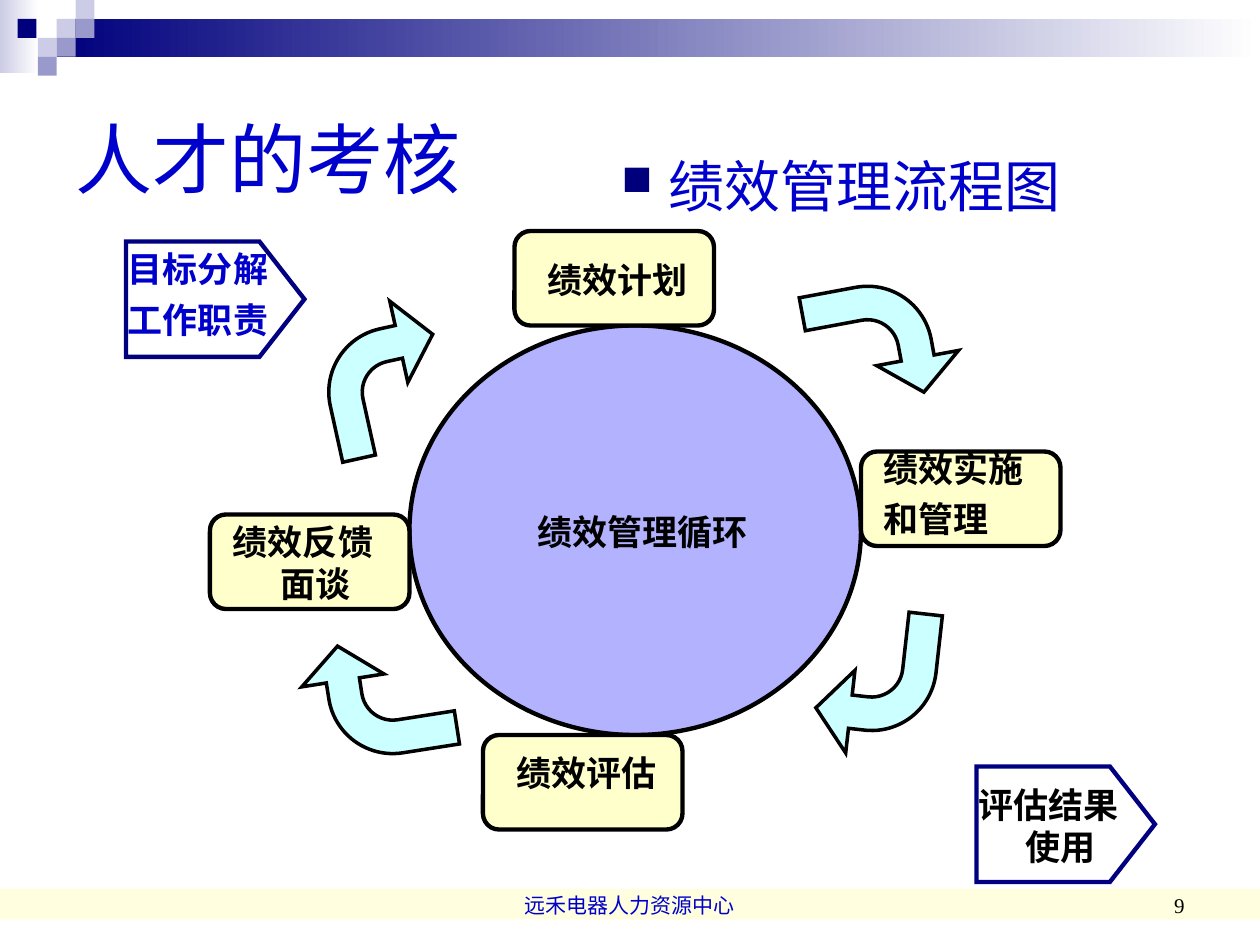
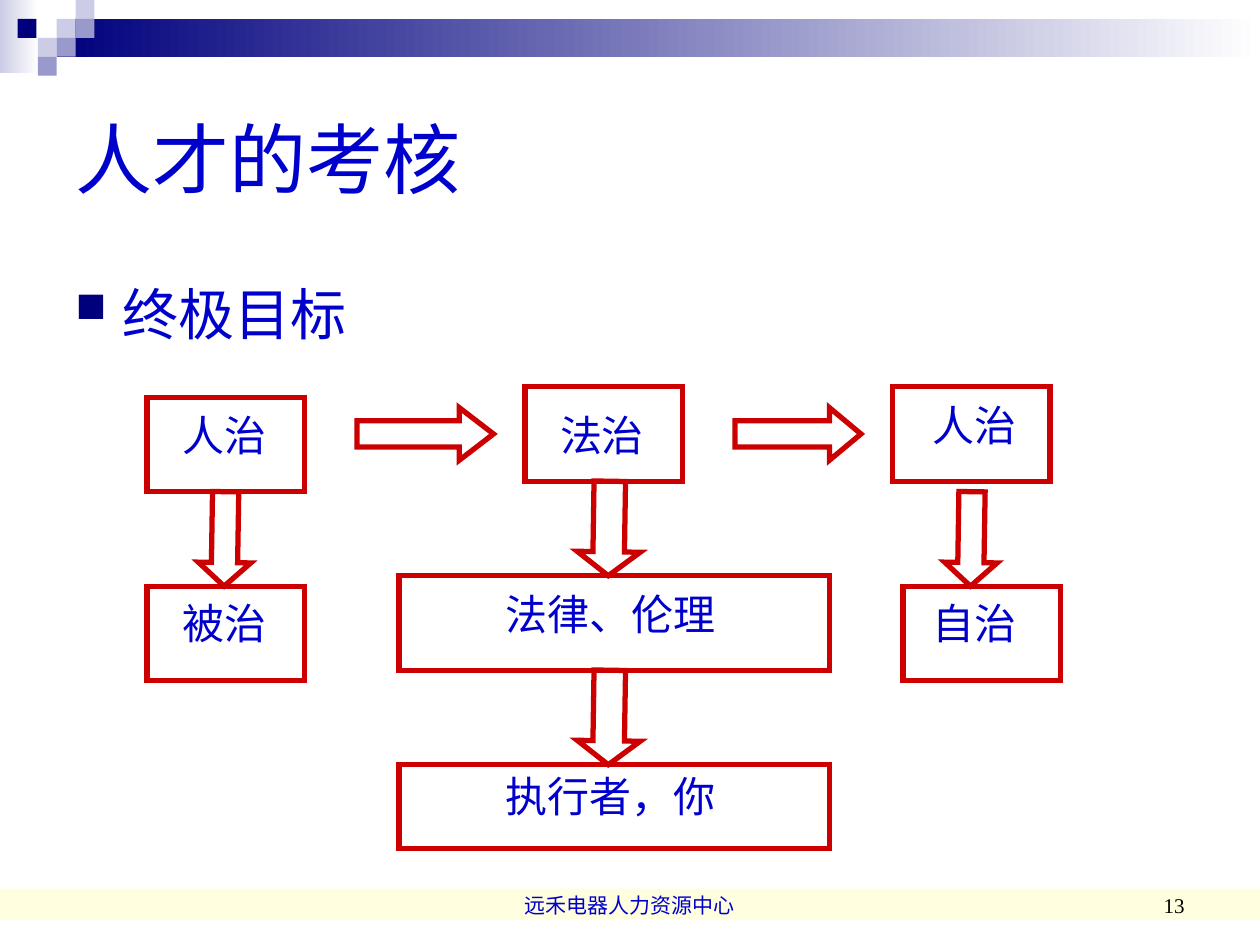
from lxml.etree import SubElement
from pptx import Presentation
from pptx.dml.color import RGBColor
from pptx.enum.shapes import MSO_SHAPE
from pptx.enum.text import MSO_ANCHOR, MSO_AUTO_SIZE, PP_ALIGN
from pptx.oxml.ns import qn
from pptx.util import Pt

BLACK = RGBColor(0x00, 0x00, 0x00)
WHITE = RGBColor(0xFF, 0xFF, 0xFF)
BLUE = RGBColor(0x00, 0x00, 0xCC)
NAVY = RGBColor(0x00, 0x00, 0x7D)
TAG = RGBColor(0x00, 0x00, 0x80)
PALE = RGBColor(0xCC, 0xCC, 0xE6)
MID = RGBColor(0x99, 0x99, 0xCC)
YELLOW = RGBColor(0xFF, 0xFF, 0x99)
CREAM = RGBColor(0xFF, 0xFF, 0xCC)
CYAN = RGBColor(0xCC, 0xFF, 0xFF)
LILAC = RGBColor(0x99, 0x99, 0xFF)
RED = RGBColor(0xCC, 0x00, 0x00)

SERIF = "Times New Roman"
HANG = 27
TILE = 10.8
TILES = [(3, 1, PALE), (4, 0, PALE), (4, 1, MID), (2, 2, PALE),
         (0.93, 1, NAVY), (3, 2, MID), (2, 3, MID)]

TITLE = {"name": "Arial", "size": Pt(44)}
POINT = {"name": "Arial", "size": Pt(32)}
LABEL = {"name": "Lato", "size": Pt(20), "bold": True}
GOAL = {"name": SERIF, "size": Pt(24)}
NOTE = {"name": SERIF, "size": Pt(12)}


def assign(item, values):
    for key, value in values.items():
        setattr(item, key, value)


def place(item, box):
    assign(item, dict(zip(("left", "top", "width", "height"), map(Pt, box))))


class Deck:
    def __init__(self):
        self.file = Presentation()
        assign(self.file, {"slide_width": Pt(720), "slide_height": Pt(540)})
        self.slide = None

    def start(self, title, number):
        """Add a slide with its bands, title and footer."""
        self.slide = self.file.slides.add_slide(self.file.slide_layouts[5])
        self.shape((0, 508, 720, 17.5), fill=YELLOW, alpha=30)
        self.fade((0, 0, 22, 42), PALE)
        self.fade((3 * TILE, TILE, 720 - 3 * TILE, 2 * TILE), NAVY)
        for col, row, color in TILES:
            self.shape((col * TILE, row * TILE, TILE, TILE), fill=color)
        head = self.slide.shapes.title
        place(head, (36, 36, 648, 108))
        self.set_text(head.text_frame, [title], TITLE, BLUE, anchor=MSO_ANCHOR.MIDDLE)
        foot = {"anchor": MSO_ANCHOR.BOTTOM}
        self.text((246, 492, 228, 36), ["远禾电器人力资源中心"], NOTE, BLUE,
                  align=PP_ALIGN.CENTER, **foot)
        self.text((516, 492, 168, 36), [number], NOTE, BLACK,
                  align=PP_ALIGN.RIGHT, **foot)

    def shape(self, box, kind=MSO_SHAPE.RECTANGLE, fill=None, line=None,
              width=2.5, alpha=None, turn=0, adjust=()):
        item = self.slide.shapes.add_shape(kind, *map(Pt, box))
        item.shadow.inherit = False
        item.rotation = turn
        for spot, value in enumerate(adjust):
            item.adjustments[spot] = value
        if fill is None:
            item.fill.background()
        else:
            item.fill.solid()
            item.fill.fore_color.rgb = fill
        if alpha:
            color = item._element.spPr.find(qn("a:solidFill"))[0]
            SubElement(color, qn("a:alpha"), val=str(alpha * 1000))
        if line is None:
            item.line.fill.background()
        else:
            item.line.color.rgb = line
            item.line.width = Pt(width)
            edge = item._element.spPr.find(qn("a:ln"))
            SubElement(edge, qn("a:miter"), lim="800000")
        return item

    def fade(self, box, color):
        """Draw a band that fades to white on the right."""
        fill = self.shape(box).fill
        fill.gradient()
        fill.gradient_angle = 0
        for stop, shade in zip(fill.gradient_stops, (color, WHITE)):
            stop.color.rgb = shade

    def set_text(self, frame, lines, font, color, align=PP_ALIGN.LEFT,
                 anchor=MSO_ANCHOR.TOP, hang=False, bullet=False, gap=5):
        assign(frame, {"word_wrap": True, "auto_size": MSO_AUTO_SIZE.NONE,
                       "vertical_anchor": anchor})
        for spot, line in enumerate(lines):
            para = frame.add_paragraph() if spot else frame.paragraphs[0]
            para.alignment = align
            if spot:
                para.space_before = Pt(gap)
            props = para._p.get_or_add_pPr()
            if hang:
                props.set("marL", str(Pt(HANG)))
                props.set("indent", str(-Pt(HANG)))
            if bullet:
                tint = SubElement(props, qn("a:buClr"))
                SubElement(tint, qn("a:srgbClr"), val=str(NAVY))
                SubElement(props, qn("a:buSzPct"), val="75000")
                SubElement(props, qn("a:buChar"), char="■")
            run = para.add_run()
            run.text = line
            assign(run.font, font)
            run.font.color.rgb = color

    def text(self, box, lines, font, color, **style):
        frame = self.slide.shapes.add_textbox(*map(Pt, box)).text_frame
        self.set_text(frame, lines, font, color, **style)

    def point(self, box, line):
        self.text(box, [line], POINT, BLUE, hang=True, bullet=True)

    def save(self):
        self.file.save("out.pptx")


def draw_cycle(deck):
    deck.start("人才的考核", "9")
    deck.shape((234, 186, 258, 234), MSO_SHAPE.OVAL, LILAC, BLACK, alpha=75)
    for left, top in [(294, 132), (120, 294), (492, 258), (276, 420)]:
        deck.shape((left, top, 114, 54), MSO_SHAPE.ROUNDED_RECTANGLE,
                   CREAM, BLACK, adjust=[0.17])
    deck.point((348, 83, 330, 46), "绩效管理流程图")
    labels = [
        ((66, 138, 96, 60), ["目标分解", "工作职责"], BLUE),
        ((126, 294, 96, 60), ["绩效反馈面谈"], BLACK),
        ((288, 426, 96, 30), ["绩效评估"], BLACK),
        ((498, 252, 138, 60), ["绩效实施", "和管理"], BLACK),
        ((306, 144, 150, 102), ["绩效计划"], BLACK),
        ((552, 444, 96, 60), ["评估结果使用"], BLACK),
        ((300, 288, 144, 42), ["绩效管理循环"], BLACK),
    ]
    for box, lines, color in labels:
        deck.text(box, lines, LABEL, color, hang=True)
    turns = [(186, 174, 347.5), (183, 357, 261.1), (468, 348, 186.4), (471, 153, 79.5)]
    for left, top, turn in turns:
        deck.shape((left, top, 66, 84), MSO_SHAPE.BENT_ARROW, CYAN, BLACK,
                   width=2, turn=turn, adjust=[0.29, 0.36, 0.3, 0.56])
    for left, top in [(72, 138), (558, 438)]:
        deck.shape((left, top, 102, 66), MSO_SHAPE.PENTAGON, line=TAG, adjust=[0.39])


def draw_goal(deck):
    deck.start("人才的考核", "13")
    deck.point((36, 156, 648, 306), "终极目标")
    labels = [
        ((90, 230.5, 77, 40), "人治"), ((306, 230.5, 76, 45), "法治"),
        ((516, 224.5, 82, 40), "人治"), ((516, 338, 82, 45), "自治"),
        ((90, 338, 77, 51), "被治"), ((235.5, 437, 227, 54), "执行者，你"),
        ((230, 332.5, 238, 45), "法律、伦理"),
    ]
    for spot, (box, line) in enumerate(labels):
        font = GOAL if spot else {**GOAL, "name": "Arial"}
        deck.text(box, [line], font, BLUE, align=PP_ALIGN.CENTER, hang=True)
    frames = [(84, 227, 90, 54), (228, 437, 246, 48), (228, 329, 246, 54),
              (516, 335, 90, 54), (84, 335, 90, 54), (300, 221, 90, 54),
              (510, 221, 90, 54)]
    for box in frames:
        deck.shape(box, line=RED, width=3)
    arrows = [((204, 233, 78, 30), 0, 0.65), ((420, 233, 72, 30), 0, 0.6),
              ((101.5, 293, 54, 30), 90.9, 0.45), ((321, 392, 54, 36), 90.9, 0.38),
              ((321, 284, 54, 36), 90.9, 0.38), ((528, 293, 54, 30), 90.9, 0.45)]
    for box, turn, head in arrows:
        deck.shape(box, MSO_SHAPE.RIGHT_ARROW, line=RED, width=3,
                   turn=turn, adjust=[0.5, head])


def main():
    deck = Deck()
    draw_cycle(deck)
    draw_goal(deck)
    deck.save()


if __name__ == "__main__":
    main()
